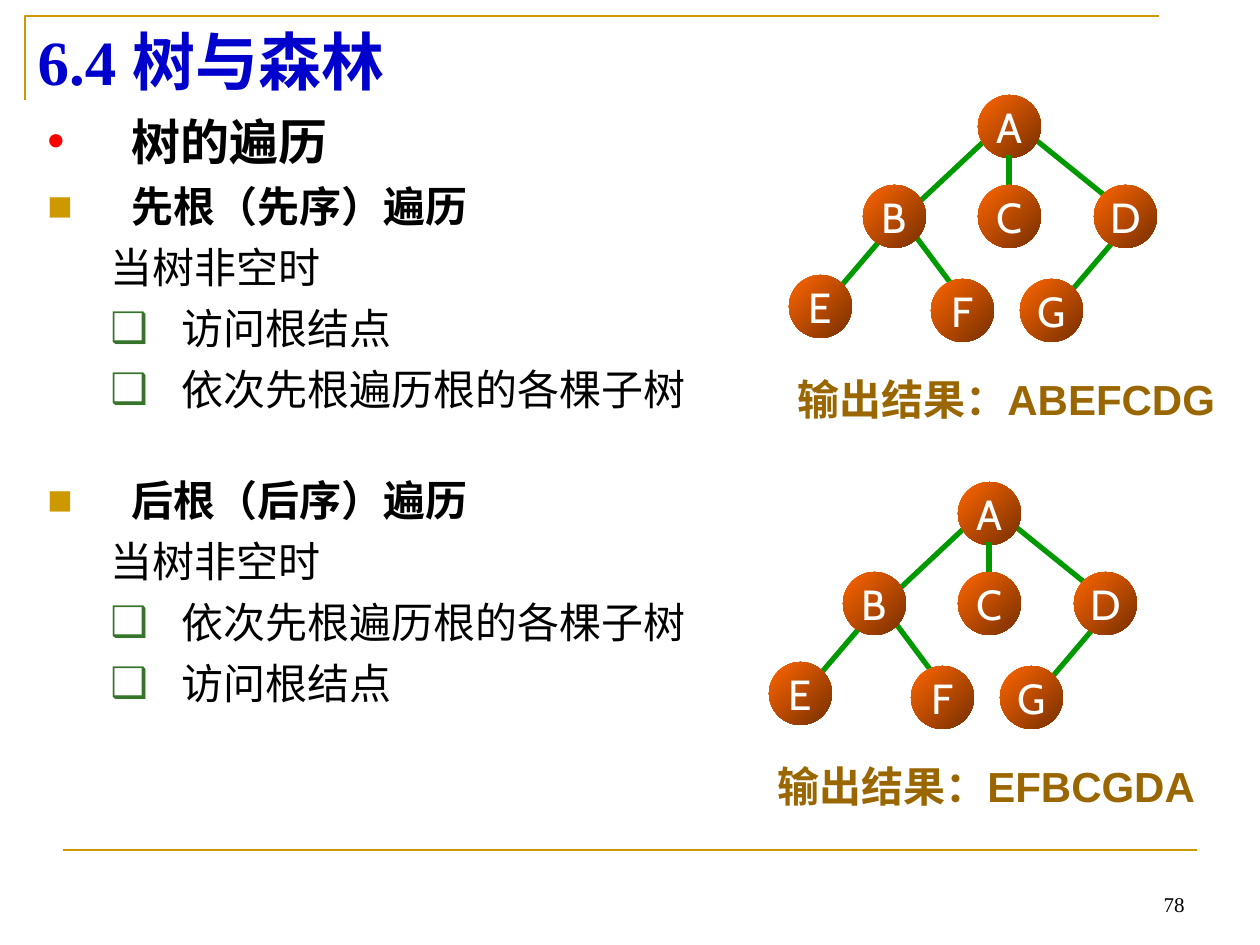
import dataclasses

import pptx
import pptx.dml.color
import pptx.enum.shapes
import pptx.enum.text
import pptx.oxml.ns
import pptx.util
from lxml import etree

ANCHOR = pptx.enum.text.MSO_ANCHOR
ALIGN = pptx.enum.text.PP_ALIGN
AUTO_SIZE = pptx.enum.text.MSO_AUTO_SIZE
qn = pptx.oxml.ns.qn


@dataclasses.dataclass(frozen=True)
class Theme:
    gold: str = "CC9900"
    title: str = "0000CC"
    text: str = "000000"
    red: str = "FF0000"
    box_green: str = "35742A"
    edge: str = "009900"
    node_light: str = "FF6600"
    node_dark: str = "762F00"
    node_text: str = "FFFFFF"
    result: str = "996600"
    cjk_font: str = "Noto Sans CJK SC"
    serif_font: str = "Times New Roman"
    node_font: str = "Cabin"
    result_font: str = "Arial"
    title_size: int = 36
    heading_size: int = 28
    body_size: int = 24
    number_size: int = 12


def px(length):
    return pptx.util.Emu(round(length * 914400 / 126))


def rgb(color):
    return pptx.dml.color.RGBColor.from_string(color)


class SlideBuilder:
    def __init__(self, slide, theme):
        self.slide = slide
        self.shapes = slide.shapes
        self.theme = theme

    def add_run(self, paragraph, text, size, font, color, bold=False):
        run = paragraph.add_run()
        run.text = text
        run.font.size = pptx.util.Pt(size)
        run.font.name = font
        run.font.bold = bold
        run.font.color.rgb = rgb(color)
        east_asian = etree.SubElement(run.font._element, qn("a:ea"))
        east_asian.set("typeface", self.theme.cjk_font)

    def title(self, text, left, top, width, height):
        shape = self.shapes.title
        shape.left, shape.top, shape.width, shape.height = map(px, (left, top, width, height))
        frame = shape.text_frame
        frame.auto_size = AUTO_SIZE.NONE
        frame.vertical_anchor = ANCHOR.TOP
        paragraph = frame.paragraphs[0]
        paragraph.alignment = ALIGN.LEFT
        self.add_run(paragraph, text, self.theme.title_size, self.theme.serif_font,
                     self.theme.title, True)

    def text_box(self, left, top, width, height, anchor=ANCHOR.TOP, wrap=True):
        frame = self.shapes.add_textbox(*map(px, (left, top, width, height))).text_frame
        frame.word_wrap = wrap
        frame.auto_size = AUTO_SIZE.NONE if wrap else AUTO_SIZE.SHAPE_TO_FIT_TEXT
        frame.vertical_anchor = anchor
        return frame

    def bullet(self, paragraph, left, hanging, character=None, color=None):
        properties = paragraph._p.get_or_add_pPr()
        properties.set("marL", str(px(left)))
        properties.set("indent", str(-px(hanging)))
        if character is None:
            etree.SubElement(properties, qn("a:buNone"))
            return
        bullet_color = etree.SubElement(properties, qn("a:buClr"))
        etree.SubElement(bullet_color, qn("a:srgbClr")).set("val", color)
        etree.SubElement(properties, qn("a:buFont")).set("typeface", self.theme.result_font)
        etree.SubElement(properties, qn("a:buChar")).set("char", character)

    def outline(self, items, left, top, width, height):
        """Fill a box with (kind, text, space before in points) items."""
        theme = self.theme
        bullets = {
            "topic": (84, 84, "•", theme.red),
            "method": (84, 84, "■", theme.gold),
            "condition": (134, 71),
            "step": (134, 71, "❑", theme.box_green),
        }
        frame = self.text_box(left, top, width, height)
        for index, (kind, text, space) in enumerate(items):
            paragraph = frame.add_paragraph() if index else frame.paragraphs[0]
            self.bullet(paragraph, *bullets[kind])
            paragraph.space_before = pptx.util.Pt(space)
            size = theme.heading_size if kind == "topic" else theme.body_size
            self.add_run(paragraph, text, size, theme.cjk_font, theme.text,
                         kind in ("topic", "method"))

    def line(self, start, end, color, width):
        connector = self.shapes.add_connector(
            pptx.enum.shapes.MSO_CONNECTOR.STRAIGHT, *map(px, (*start, *end)))
        connector.line.color.rgb = rgb(color)
        connector.line.width = pptx.util.Pt(width)
        etree.SubElement(connector._element.spPr, qn("a:effectLst"))

    def corner(self, points):
        builder = self.shapes.build_freeform(*map(px, points[0]))
        builder.add_line_segments([tuple(map(px, point)) for point in points[1:]], close=False)
        shape = builder.convert_to_shape()
        shape.shadow.inherit = False
        shape.fill.background()
        shape.line.color.rgb = rgb(self.theme.gold)
        shape.line.width = pptx.util.Pt(1.5)

    def node(self, label, left, top):
        shape = self.shapes.add_shape(
            pptx.enum.shapes.MSO_SHAPE.OVAL, *map(px, (left, top, 63, 63)))
        shape.shadow.inherit = False
        shape.line.fill.background()
        shape.fill.gradient()
        shape.fill.gradient_angle = 315
        colors = (self.theme.node_light, self.theme.node_dark)
        for stop, color in zip(shape.fill.gradient_stops, colors):
            stop.color.rgb = rgb(color)
        frame = shape.text_frame
        frame.word_wrap = False
        frame.margin_left = frame.margin_right = 0
        frame.vertical_anchor = ANCHOR.MIDDLE
        paragraph = frame.paragraphs[0]
        paragraph.alignment = ALIGN.CENTER
        self.add_run(paragraph, label, self.theme.body_size, self.theme.node_font,
                     self.theme.node_text)

    def tree(self, left, top, result):
        """Draw the tree with its root's corner at left, top, and the result below."""
        def edges(*ends):
            for x1, y1, x2, y2 in ends:
                self.line((left + x1, top + y1), (left + x2, top + y2), self.theme.edge, 3)

        edges((48, 37, 126, 100), (16, 37, -63, 111))
        self.node("A", left, top)
        edges((-78, 122, -136, 190), (-73, 127, -26, 190),
              (152, 127, 95, 194), (31, 60, 31, 92))
        children = {"B": (-115, 90), "C": (0, 90), "D": (116, 90),
                    "E": (-189, 180), "F": (-47, 184), "G": (42, 184)}
        for label, (x, y) in children.items():
            self.node(label, left + x, top + y)
        paragraph = self.text_box(left - 193, top + 278, 452, 58, wrap=False).paragraphs[0]
        paragraph.line_spacing = 0.9
        self.add_run(paragraph, "输出结果：" + result, self.theme.body_size,
                     self.theme.result_font, self.theme.result, True)

    def page_number(self, text, left, top, width, height):
        paragraph = self.text_box(left, top, width, height, ANCHOR.BOTTOM).paragraphs[0]
        paragraph.alignment = ALIGN.RIGHT
        self.add_run(paragraph, text, self.theme.number_size, self.theme.serif_font,
                     self.theme.text)


def main():
    presentation = pptx.Presentation()
    presentation.slide_width, presentation.slide_height = px(1260), px(945)
    theme = Theme()
    builder = SlideBuilder(presentation.slides.add_slide(presentation.slide_layouts[5]), theme)
    builder.corner([(25, 100), (25, 16), (1159, 16)])
    builder.line((63, 850), (1197, 850), theme.gold, 1.5)
    builder.page_number("78", 903, 860, 294, 63)
    builder.title("6.4 树与森林", 25, 16, 1134, 90)
    visit, recurse = ("step", "访问根结点", 6), ("step", "依次先根遍历根的各棵子树", 6)
    condition = ("condition", "当树非空时", 6)
    builder.outline([
        ("topic", "树的遍历", 0),
        ("method", "先根（先序）遍历", 6), condition, visit, recurse,
        ("method", "后根（后序）遍历", 35), condition, recurse, visit,
    ], 35, 105, 735, 714)
    builder.tree(958, 482, "EFBCGDA")
    builder.tree(978, 95, "ABEFCDG")
    presentation.save("out.pptx")


if __name__ == "__main__":
    main()
